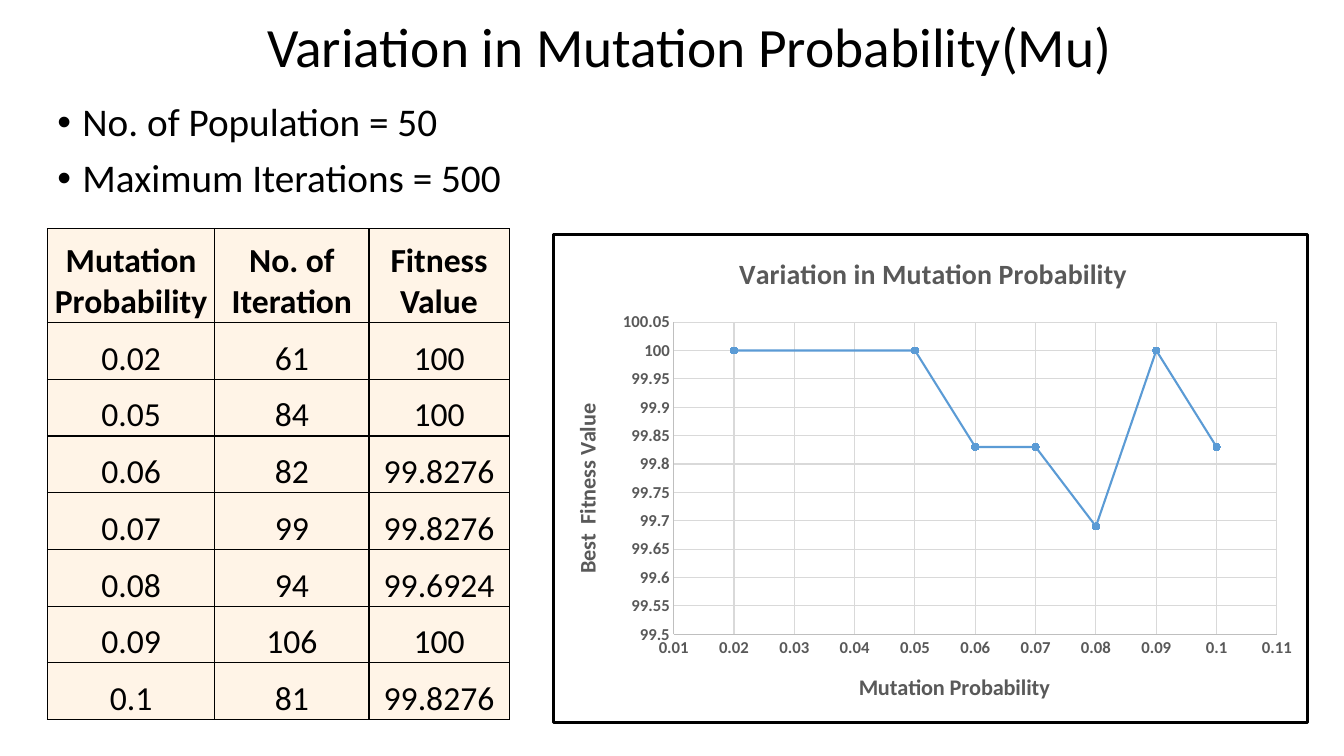
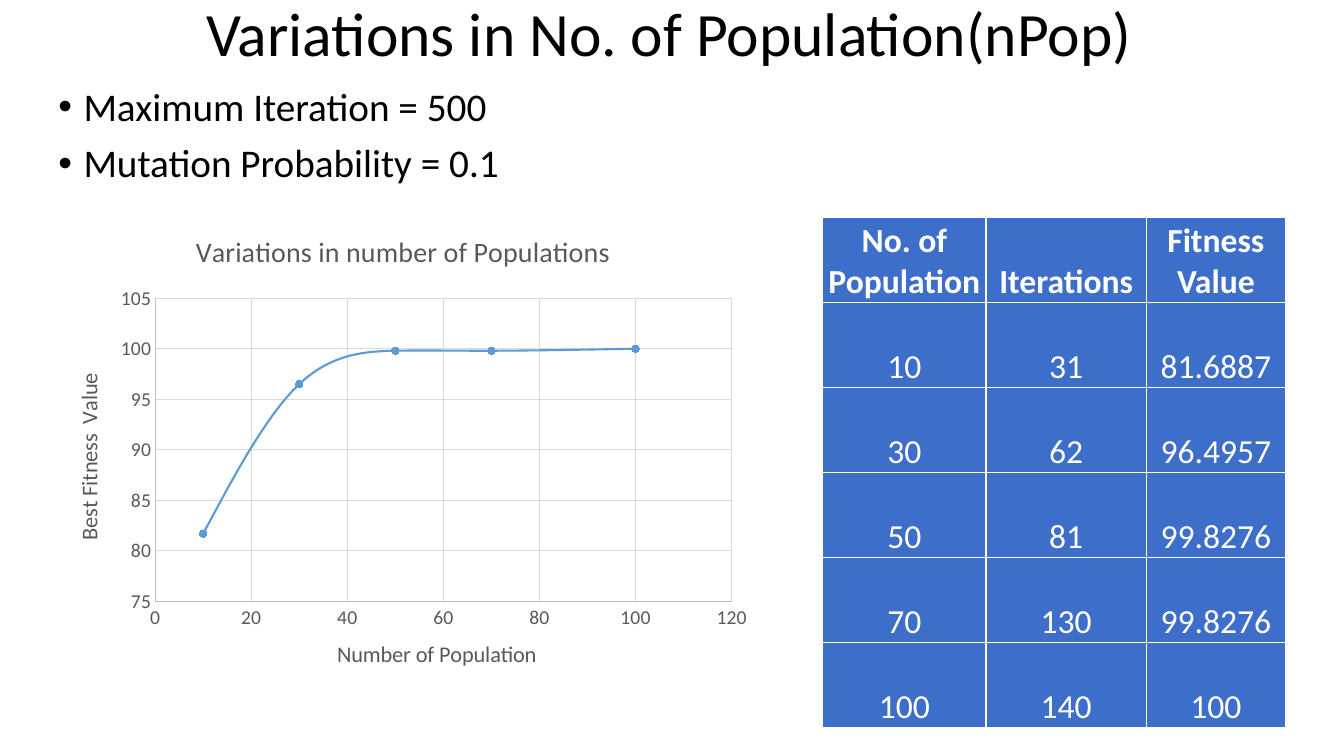
from lxml import etree
from pptx import Presentation
from pptx.chart.data import XyChartData
from pptx.dml.color import RGBColor
from pptx.enum.chart import XL_CHART_TYPE, XL_MARKER_STYLE, XL_TICK_MARK
from pptx.enum.text import MSO_ANCHOR, PP_ALIGN
from pptx.oxml.ns import qn
from pptx.util import Inches, Pt

FONT = "Calibri"
BLACK = RGBColor(0x00, 0x00, 0x00)
WHITE = RGBColor(0xFF, 0xFF, 0xFF)
CREAM = RGBColor(0xFF, 0xF4, 0xE7)
ROYAL_BLUE = RGBColor(0x3D, 0x6E, 0xC9)
CURVE_BLUE = RGBColor(0x5B, 0x9B, 0xD5)
CHART_GRAY = RGBColor(0x59, 0x59, 0x59)
AXIS_GRAY = RGBColor(0xBF, 0xBF, 0xBF)
GRID_GRAY = RGBColor(0xD9, 0xD9, 0xD9)

CELL_FORMAT = {
    "vertical_anchor": MSO_ANCHOR.BOTTOM,
    "margin_left": Inches(0.01),
    "margin_right": Inches(0.01),
    "margin_top": Inches(0.01),
    "margin_bottom": 0,
}

MUTATION_ROWS = [
    ("Mutation Probability", "No. of Iteration", "Fitness Value"),
    (0.02, 61, 100),
    (0.05, 84, 100),
    (0.06, 82, 99.8276),
    (0.07, 99, 99.8276),
    (0.08, 94, 99.6924),
    (0.09, 106, 100),
    (0.1, 81, 99.8276),
]
POPULATION_ROWS = [
    ("No. of Population", "Iterations", "Fitness Value"),
    (10, 31, 81.6887),
    (30, 62, 96.4957),
    (50, 81, 99.8276),
    (70, 130, 99.8276),
    (100, 140, 100),
]


def apply_format(target, values):
    """Set each named attribute of the target."""
    for name, value in values.items():
        setattr(target, name, value)


def style_font(font, size, color, bold=False):
    """Give a font its face, size, weight and colour."""
    apply_format(font, {"name": FONT, "size": Pt(size), "bold": bold})
    font.color.rgb = color


def style_line(line, color, width):
    """Give a line its colour and width."""
    line.color.rgb = color
    line.width = Pt(width)


def add_line_xml(parent, tag, color, width):
    """Append a solid outline element to the parent."""
    outline = etree.SubElement(parent, qn(tag), w=str(Pt(width)))
    fill = etree.SubElement(outline, qn("a:solidFill"))
    etree.SubElement(fill, qn("a:srgbClr"), val=str(color))


def add_text(slide, box, lines, size, align=PP_ALIGN.LEFT, anchor=MSO_ANCHOR.TOP):
    """Place lines of text in a box and return their paragraphs."""
    frame = slide.shapes.add_textbox(*map(Inches, box)).text_frame
    apply_format(frame, {"word_wrap": True, "vertical_anchor": anchor})
    frame.text = "\n".join(lines)
    for paragraph in frame.paragraphs:
        apply_format(paragraph, {"alignment": align, "line_spacing": 0.9})
        style_font(paragraph.runs[0].font, size, BLACK)
    return frame.paragraphs


def add_title(slide, box, title, size, align):
    """Place the slide title, centred vertically in its box."""
    add_text(slide, box, [title], size, align, MSO_ANCHOR.MIDDLE)


def add_settings(slide, box, settings):
    """Place the bulleted list of fixed settings."""
    for paragraph in add_text(slide, box, settings, 28):
        paragraph.space_before = Pt(10)
        properties = paragraph._p.get_or_add_pPr()
        properties.set("marL", str(Inches(0.25)))
        properties.set("indent", str(Inches(-0.25)))
        etree.SubElement(properties, qn("a:buFont"), typeface="Arial")
        etree.SubElement(properties, qn("a:buChar"), char="•")


def add_results(slide, box, rows, widths, header_height, fill, ink, rule):
    """Place the results table with a bold header over equal rows."""
    table = slide.shapes.add_table(len(rows), len(widths), *map(Inches, box)).table
    body_height = (box[3] - header_height) / (len(rows) - 1)
    for column, width in zip(table.columns, widths):
        column.width = Inches(width)
    for index, (row, values) in enumerate(zip(table.rows, rows)):
        row.height = Inches(body_height if index else header_height)
        for cell, value in zip(row.cells, values):
            cell.text = str(value)
            apply_format(cell, CELL_FORMAT)
            paragraph = cell.text_frame.paragraphs[0]
            paragraph.alignment = PP_ALIGN.CENTER
            style_font(paragraph.runs[0].font, 24, ink, bold=index == 0)
            for side in ("a:lnL", "a:lnR", "a:lnT", "a:lnB"):
                add_line_xml(cell._tc.get_or_add_tcPr(), side, rule, 1)
            cell.fill.solid()
            cell.fill.fore_color.rgb = fill


def set_layout(element, position, **fractions):
    """Fix a chart part at fractions of the chart area."""
    layout = element.find(qn("c:layout"))
    if layout is None:
        layout = etree.Element(qn("c:layout"))
        element.insert(position, layout)
    manual = etree.SubElement(layout, qn("c:manualLayout"))
    if "w" in fractions:
        etree.SubElement(manual, qn("c:layoutTarget"), val="inner")
    for axis in ("x", "y"):
        etree.SubElement(manual, qn(f"c:{axis}Mode"), val="edge")
    for name, value in fractions.items():
        etree.SubElement(manual, qn(f"c:{name}"), val=str(value))


def set_chart_heading(heading, text, size, bold, place):
    """Write a chart or axis title at its place."""
    heading.text_frame.text = text
    run = heading.text_frame.paragraphs[0].runs[0]
    style_font(run.font, size, CHART_GRAY, bold)
    set_layout(heading._element, 1, x=place[0], y=place[1])


def style_axis(axis, text, place, scale, size, bold):
    """Format one axis, its scale, gridlines and title."""
    low, high, step = scale
    apply_format(axis, {
        "minimum_scale": low,
        "maximum_scale": high,
        "major_unit": step,
        "has_major_gridlines": True,
        "major_tick_mark": XL_TICK_MARK.NONE,
        "minor_tick_mark": XL_TICK_MARK.NONE,
    })
    apply_format(axis.tick_labels,
                 {"number_format": "General", "number_format_is_linked": False})
    style_font(axis.tick_labels.font, size, CHART_GRAY, bold)
    style_line(axis.format.line, AXIS_GRAY, 0.75)
    style_line(axis.major_gridlines.format.line, GRID_GRAY, 0.75)
    set_chart_heading(axis.axis_title, text, 16, bold, place)


def set_smooth(series, smooth):
    """Turn the curved line of a scatter series on or off."""
    element = series._element.find(qn("c:smooth"))
    if element is None:
        element = etree.SubElement(series._element, qn("c:smooth"))
    element.set("val", str(int(smooth)))


def add_border(chart, color, width):
    """Draw a square frame around the chart area."""
    space = chart._chartSpace
    body = space.find(qn("c:chart"))
    body.addprevious(etree.Element(qn("c:roundedCorners"), val="0"))
    properties = etree.Element(qn("c:spPr"))
    body.addnext(properties)
    add_line_xml(properties, "a:ln", color, width)


def add_fitness_chart(slide, box, rows, title, x_axis, y_axis, plot,
                      tick_size, digits, bold=False, smooth=False):
    """Place the scatter chart of fitness against the varied setting."""
    data = XyChartData()
    points = data.add_series("Series 1")
    for setting, _, fitness in rows[1:]:
        points.add_data_point(setting, round(fitness, digits))
    kind = XL_CHART_TYPE.XY_SCATTER_SMOOTH if smooth else XL_CHART_TYPE.XY_SCATTER_LINES
    chart = slide.shapes.add_chart(kind, *map(Inches, box), data).chart
    style_font(chart.font, 10, BLACK)
    chart.has_legend = False
    chart.plots[0].vary_by_categories = False
    set_chart_heading(chart.chart_title, title[0], 20, bold, title[1])
    style_axis(chart.category_axis, *x_axis, tick_size, bold)
    style_axis(chart.value_axis, *y_axis, tick_size, bold)
    upright = chart.value_axis.axis_title.text_frame._txBody.find(qn("a:bodyPr"))
    upright.set("rot", "-5400000")
    upright.set("vert", "horz")
    set_layout(chart._chartSpace.find(".//" + qn("c:plotArea")), 0,
               **dict(zip("xywh", plot)))
    curve = chart.plots[0].series[0]
    set_smooth(curve, smooth)
    style_line(curve.format.line, CURVE_BLUE, 1.5)
    apply_format(curve.marker, {"style": XL_MARKER_STYLE.CIRCLE, "size": 5})
    curve.marker.format.fill.solid()
    curve.marker.format.fill.fore_color.rgb = CURVE_BLUE
    style_line(curve.marker.format.line, CURVE_BLUE, 0.75)
    return chart


def build_mutation_slide(slide):
    """Show how mutation probability changes the fitness."""
    add_title(slide, (2.55, 0, 8.81, 0.98),
              "Variation in Mutation Probability(Mu)", 39.6, PP_ALIGN.LEFT)
    add_settings(slide, (0.47, 0.97, 5.94, 1.34),
                 ["No. of Population = 50", "Maximum Iterations = 500"])
    add_results(slide, (0.47, 2.27, 4.58, 4.87), MUTATION_ROWS,
                (1.66, 1.53, 1.39), 0.93, CREAM, BLACK, BLACK)
    chart = add_fitness_chart(
        slide, (5.47, 2.31, 7.51, 4.87), MUTATION_ROWS,
        ("Variation in Mutation Probability", (0.24, 0.03)),
        ("Mutation Probability", (0.4, 0.89), (0.01, 0.11, 0.01)),
        ("Best  Fitness Value", (0.02, 0.34), (99.5, 100.05, 0.05)),
        (0.16, 0.18, 0.8, 0.64), 12, digits=2, bold=True)
    add_border(chart, BLACK, 2.25)


def build_population_slide(slide):
    """Show how population size changes the fitness."""
    add_title(slide, (0.61, 0, 12.06, 0.73),
              "Variations in No. of Population(nPop)", 44, PP_ALIGN.CENTER)
    add_settings(slide, (0.48, 0.82, 6.38, 1.16),
                 ["Maximum Iteration = 500", "Mutation Probability = 0.1"])
    add_results(slide, (8.16, 2.16, 4.59, 5.06), POPULATION_ROWS,
                (1.62, 1.59, 1.38), 0.84, ROYAL_BLUE, WHITE, WHITE)
    add_fitness_chart(
        slide, (0.48, 2.16, 7.06, 4.7), POPULATION_ROWS,
        ("Variations in number of Populations", (0.2, 0.02)),
        ("Number of Population", (0.4, 0.88), (0, 120, 20)),
        ("Best Fitness  Value", (0.03, 0.32), (75, 105, 5)),
        (0.15, 0.17, 0.81, 0.64), 14, digits=1, smooth=True)


def main():
    """Build and save the presentation."""
    deck = Presentation()
    apply_format(deck, {"slide_width": Inches(13.33), "slide_height": Inches(7.5)})
    for build in (build_mutation_slide, build_population_slide):
        build(deck.slides.add_slide(deck.slide_layouts[6]))
    deck.save("out.pptx")


if __name__ == "__main__":
    main()
